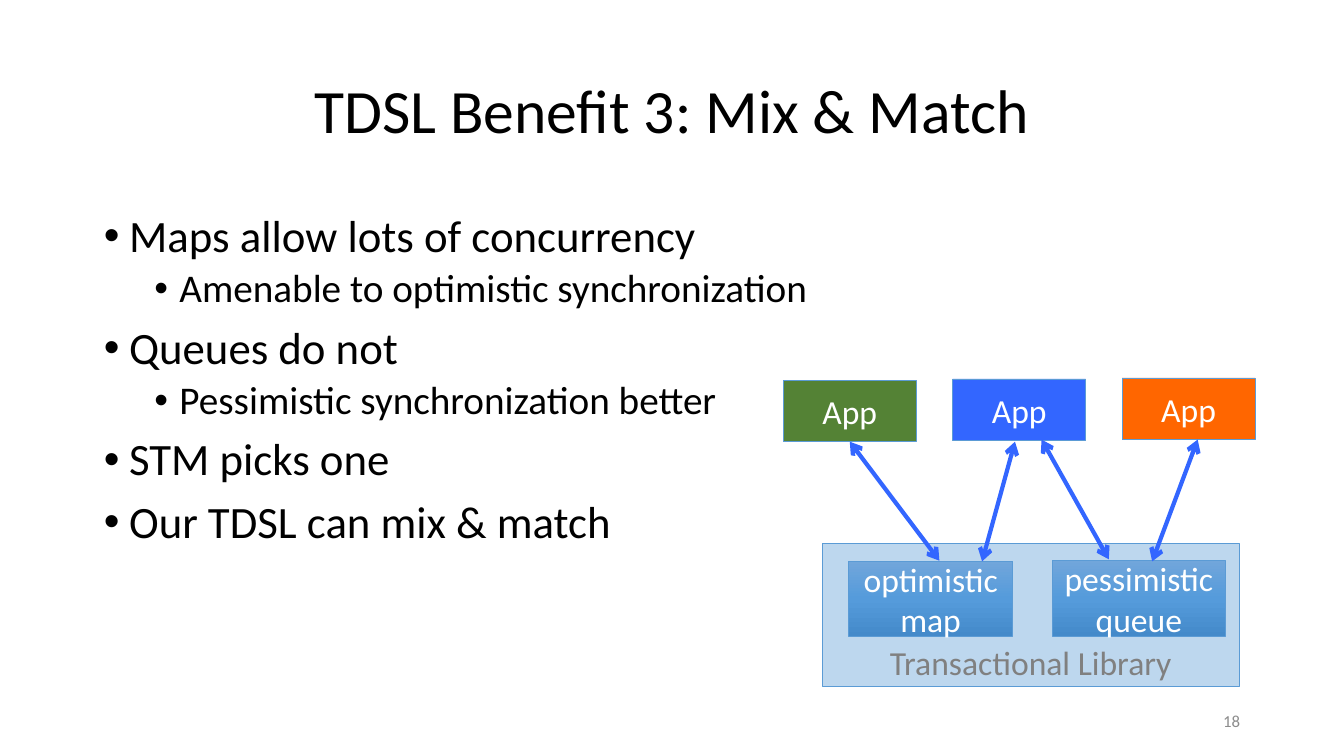
from copy import deepcopy

from pptx import Presentation
from pptx.dml.color import RGBColor
from pptx.enum.shapes import MSO_CONNECTOR as Connector, MSO_SHAPE as Shape
from pptx.enum.text import MSO_ANCHOR as Anchor, MSO_AUTO_SIZE as AutoSize, PP_ALIGN as Align
from pptx.oxml.ns import qn
from pptx.util import Pt

FONT = "Calibri"
WHITE, BLACK = "FFFFFF", "000000"
ARROW_BLUE, OUTLINE = "3366FF", "5B9BD5"
STRUCTURE_GRADIENT = [(0, "71A6DB"), (0.5, "559BDB"), (1, "448ACA")]
# Per level: size, left margin, space before
LEVELS = [(32, 18, 10), (28, 54, 5)]
BENEFITS = [
    (0, "Maps allow lots of concurrency"),
    (1, "Amenable to optimistic synchronization"),
    (0, "Queues do not"),
    (1, "Pessimistic synchronization better"),
    (0, "STM picks one"),
    (0, "Our TDSL can mix & match"),
]


def rgb(value):
    return RGBColor.from_string(value)


def place(shape, left, top, width, height):
    shape.left, shape.top = Pt(left), Pt(top)
    shape.width, shape.height = Pt(width), Pt(height)


def style(paragraph, size, color, align):
    paragraph.alignment = align
    for run in paragraph.runs:
        run.font.name = FONT
        run.font.size = Pt(size)
        run.font.color.rgb = rgb(color)


def write(shape, text, size, color, align=Align.CENTER, anchor=Anchor.MIDDLE):
    """Put one styled paragraph into a shape."""
    frame = shape.text_frame
    frame.word_wrap = True
    frame.auto_size = AutoSize.NONE
    frame.vertical_anchor = anchor
    frame.text = text
    style(frame.paragraphs[0], size, color, align)


def add_bullet(paragraph, margin):
    properties = paragraph._p.get_or_add_pPr()
    properties.set("marL", str(Pt(margin)))
    properties.set("indent", str(Pt(-18)))
    properties.makeelement
    for tag, key, value in (("a:buFont", "typeface", "Arial"), ("a:buChar", "char", "•")):
        element = properties.makeelement(qn(tag), {key: value})
        properties.append(element)


def fill_benefits(body):
    frame = body.text_frame
    frame.auto_size = AutoSize.NONE
    frame.text = "\n".join(text for _, text in BENEFITS)
    for index, (paragraph, (level, _)) in enumerate(zip(frame.paragraphs, BENEFITS)):
        size, margin, space = LEVELS[level]
        paragraph.level = level
        add_bullet(paragraph, margin)
        paragraph.line_spacing = 0.9
        paragraph.space_before = Pt(space if index else 0)
        style(paragraph, size, BLACK, Align.LEFT)


def add_box(slide, bounds, text, fill, color=WHITE, anchor=Anchor.MIDDLE):
    box = slide.shapes.add_shape(Shape.RECTANGLE, *map(Pt, bounds))
    box.shadow.inherit = False
    if isinstance(fill, str):
        box.fill.solid()
        box.fill.fore_color.rgb = rgb(fill)
    else:
        fill_gradient(box, fill)
    box.line.color.rgb = rgb(OUTLINE)
    box.line.width = Pt(0.5)
    write(box, text, 24, color, anchor=anchor)
    return box


def fill_gradient(box, stops):
    """Fill from top to bottom with (position, colour) stops."""
    box.fill.gradient()
    box.fill.gradient_angle = 270
    stop_list = box._element.spPr.find(".//" + qn("a:gsLst"))
    while len(stop_list) < len(stops):
        stop_list.append(deepcopy(stop_list[0]))
    for stop, (position, color) in zip(box.fill.gradient_stops, stops):
        stop.position = position
        stop.color.rgb = rgb(color)


def add_access_arrow(slide, start, end):
    arrow = slide.shapes.add_connector(Connector.STRAIGHT, *map(Pt, start + end))
    arrow.line.color.rgb = rgb(ARROW_BLUE)
    arrow.line.width = Pt(3)
    line = arrow.line._get_or_add_ln()
    for tag in ("a:headEnd", "a:tailEnd"):
        line.append(line.makeelement(qn(tag), {"type": "arrow"}))
    properties = arrow._element.spPr
    properties.append(properties.makeelement(qn("a:effectLst"), {}))
    return arrow


def add_architecture(slide):
    add_box(slide, (587.5, 388, 297.5, 102.5), "Transactional Library",
            "BDD7EE", "808080", Anchor.BOTTOM)
    add_box(slide, (751.5, 400.5, 124, 54), "pessimistic queue", STRUCTURE_GRADIENT)
    add_box(slide, (606, 401, 117.5, 53.5), "optimistic map", STRUCTURE_GRADIENT)
    apps = [
        add_box(slide, (559.5 + 121 * i, 271.5 - 0.75 * i, 95, 44), "App", color)
        for i, color in enumerate(("548235", "3366FF", "FF6600"))
    ]
    map_arrow = add_access_arrow(slide, (607, 315.5), (671, 400.5))
    map_arrow.begin_connect(apps[0], 2)
    add_access_arrow(slide, (725, 315.5), (701.5, 401))
    add_access_arrow(slide, (855.5, 314), (823, 401))
    add_access_arrow(slide, (744, 314), (792, 399.5))


def main():
    deck = Presentation()
    deck.slide_width, deck.slide_height = Pt(960), Pt(540)
    slide = deck.slides.add_slide(deck.slide_layouts[1])

    title, body = slide.placeholders
    place(title, 66, 29, 828, 104.5)
    write(title, "TDSL Benefit 3: Mix & Match", 44, BLACK)
    title.text_frame.paragraphs[0].line_spacing = 0.9
    place(body, 67, 149, 828, 342.5)
    fill_benefits(body)

    add_architecture(slide)
    page_number = slide.shapes.add_textbox(Pt(677), Pt(500.5), Pt(216), Pt(29))
    write(page_number, "18", 12, "8C8C8C", Align.RIGHT)

    deck.save("out.pptx")


if __name__ == "__main__":
    main()
